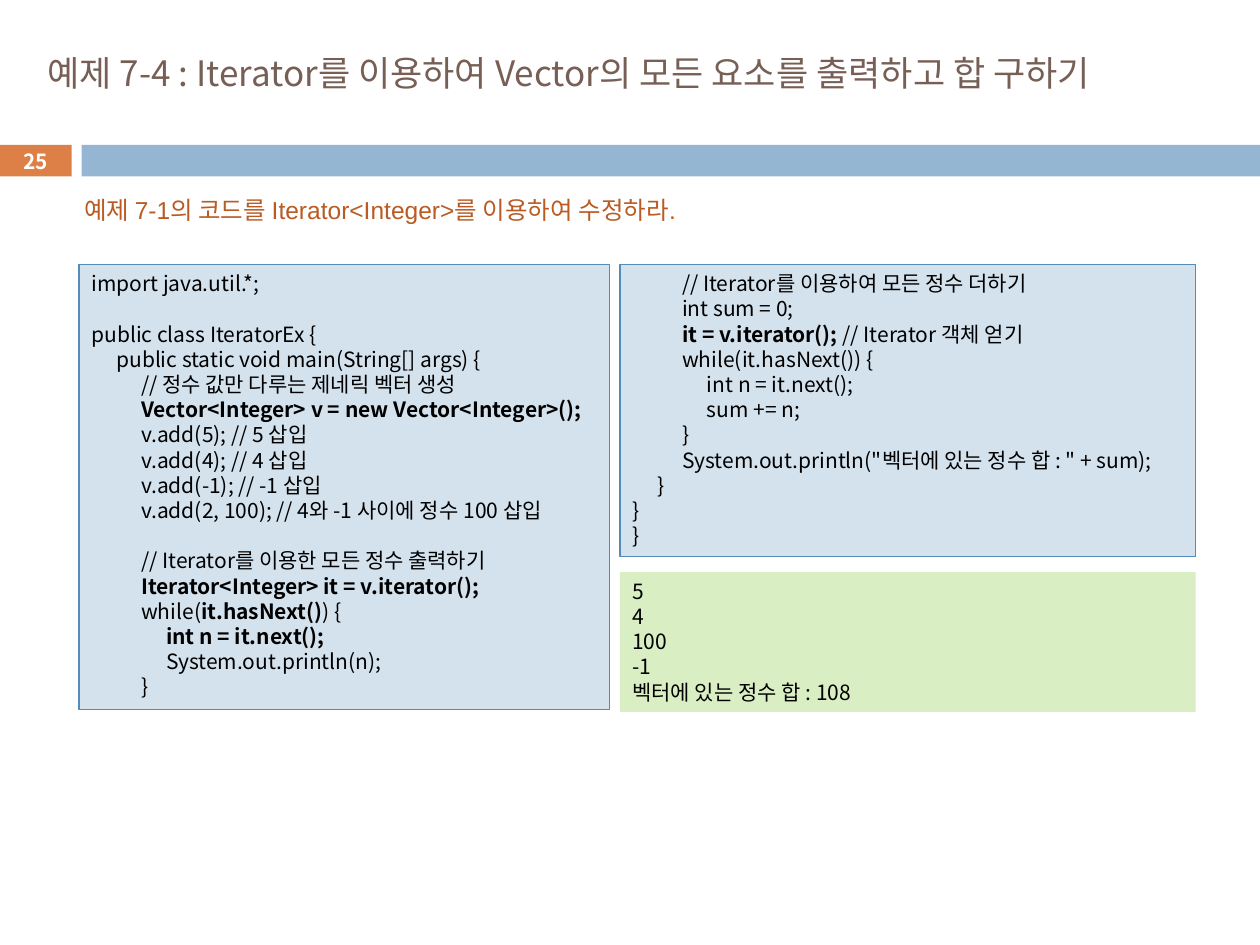
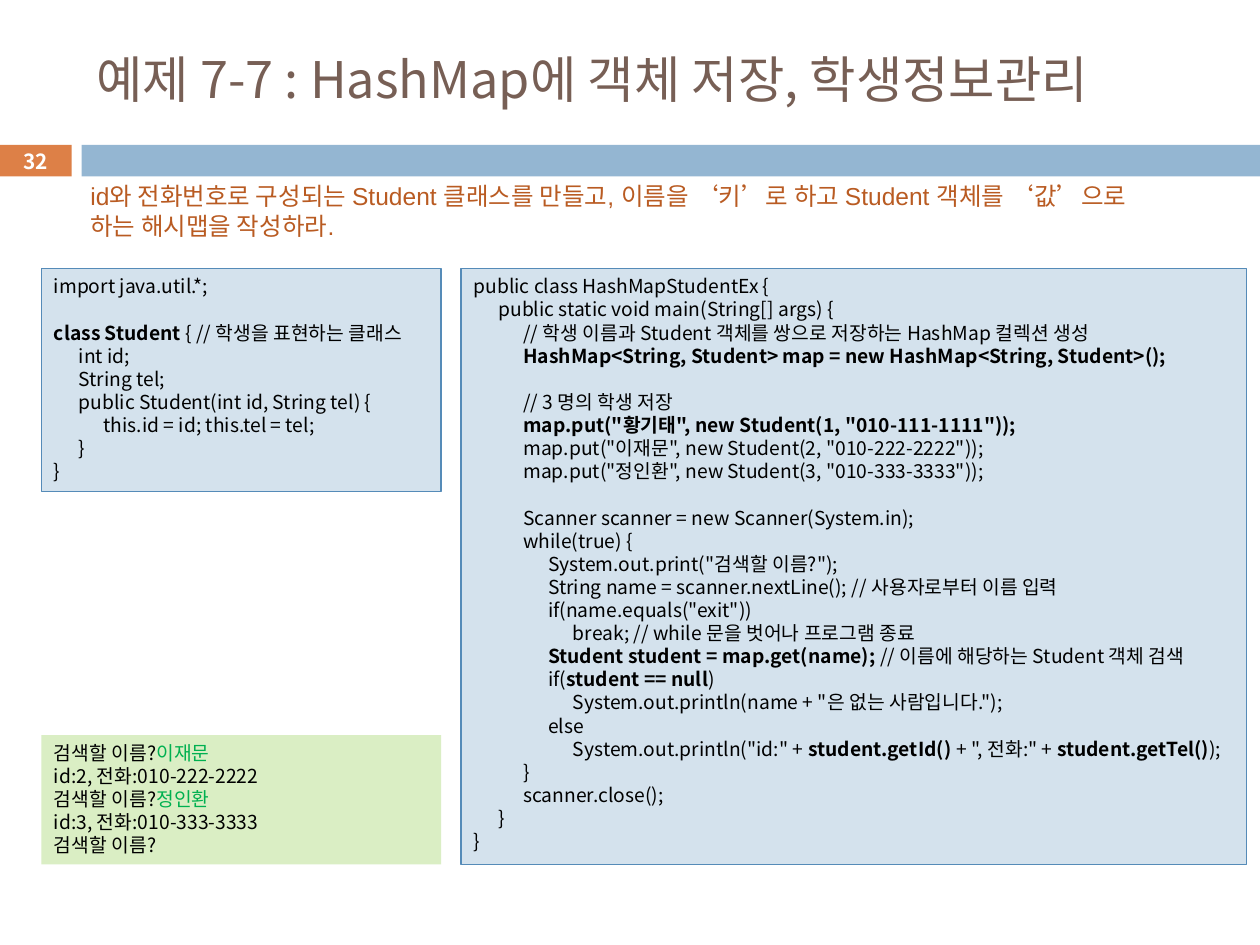
import pptx
import pptx.dml.color
import pptx.enum.shapes
import pptx.enum.text
import pptx.oxml
import pptx.oxml.ns
import pptx.util
from dataclasses import dataclass

# A listing is a list of blocks, set apart by one empty line.
# Backticks mark emphasis: bold in code, typed input in output.
ITERATOR_CODE = ["""\
import java.util.*;""", """\
public class IteratorEx {
    public static void main(String[] args) {
        // 정수 값만 다루는 제네릭 벡터 생성
        `Vector<Integer> v = new Vector<Integer>();`
        v.add(5); // 5 삽입
        v.add(4); // 4 삽입
        v.add(-1); // -1 삽입
        v.add(2, 100); // 4와 -1 사이에 정수 100 삽입""", """\
        // Iterator를 이용한 모든 정수 출력하기
        `Iterator<Integer> it = v.iterator();`
        while(`it.hasNext()`) {
            `int n = it.next();`
            System.out.println(n);
        }"""]

SUM_CODE = ["""\
        // Iterator를 이용하여 모든 정수 더하기
        int sum = 0;
        `it = v.iterator(); `// Iterator 객체 얻기
        while(it.hasNext()) {
            int n = it.next();
            sum += n;
        }
        System.out.println("벡터에 있는 정수 합 : " + sum);
    }
}
}"""]

ITERATOR_OUTPUT = ["""\
5
4
100
-1
벡터에 있는 정수 합 : 108"""]

STUDENT_CODE = ["""\
import java.util.*;""", """\
`class Student `{ // 학생을 표현하는 클래스
    int id;
    String tel;
    public Student(int id, String tel) {
        this.id = id; this.tel = tel;
    }
}"""]

STUDENT_OUTPUT = ["""\
검색할 이름?`이재문`
id:2, 전화:010-222-2222
검색할 이름?`정인환`
id:3, 전화:010-333-3333
검색할 이름?"""]

HASHMAP_CODE = ["""\
public class HashMapStudentEx {
    public static void main(String[] args) {
        // 학생 이름과 Student 객체를 쌍으로 저장하는 HashMap 컬렉션 생성
        `HashMap<String, Student> map = new HashMap<String, Student>();`""", """\
        // 3 명의 학생 저장
        `map.put("황기태", new Student(1, "010-111-1111"));`
        map.put("이재문", new Student(2, "010-222-2222"));
        map.put("정인환", new Student(3, "010-333-3333"));""", """\
        Scanner scanner = new Scanner(System.in);
        while(true) {
            System.out.print("검색할 이름?");
            String name = scanner.nextLine(); // 사용자로부터 이름 입력
            if(name.equals("exit"))
                break; // while 문을 벗어나 프로그램 종료
            `Student student = map.get(name); `// 이름에 해당하는 Student 객체 검색
            if(`student == null`)
                System.out.println(name + "은 없는 사람입니다.");
            else
                System.out.println("id:" + `student.getId() `+ ", 전화:" + `student.getTel()`);
        }
        scanner.close();
    }
}"""]

# Boxes are (left, top, width, height) in points.
SLIDES = [
    dict(
        number="25",
        title="예제 7-4 : Iterator를 이용하여 Vector의 모든 요소를 출력하고 합 구하기",
        title_box=(20, 9.4, 684, 64), title_size=20,
        task="예제 7-1의 코드를 Iterator<Integer>를 이용하여 수정하라.",
        task_box=(41, 108, 388, 24.5),
        panel_size=12,
        code=[(ITERATOR_CODE, (45.2, 151.2, 303.2, 254.2)),
              (SUM_CODE, (354.3, 151.2, 329, 167))],
        output=(ITERATOR_OUTPUT, (354.3, 326.9, 329, 79.9)),
    ),
    dict(
        number="32",
        title="예제 7-7 : HashMap에 객체 저장, 학생정보관리",
        title_box=(48, 18, 642, 53.3), title_size=28.8,
        task="id와 전화번호로 구성되는 Student 클래스를 만들고, 이름을 ‘키’로 하고 "
             "Student 객체를 ‘값’으로 하는 해시맵을 작성하라.",
        task_box=(44.6, 100, 627, 41),
        panel_size=11,
        code=[(STUDENT_CODE, (23.7, 153.4, 228.4, 127.4)),
              (HASHMAP_CODE, (263.5, 153.4, 448.8, 340.5))],
        output=(STUDENT_OUTPUT, (23.7, 420, 228.4, 74)),
    ),
]

BADGE_BOX = (0, 82.8, 41, 18)
BAND_BOX = (46.6, 82.8, 673.4, 18)


@dataclass(frozen=True)
class Theme:
    font: str = "Noto Sans CJK KR"
    task_font: str = "Arial"
    title: str = "775F55"
    task: str = "B95B22"
    badge: str = "DD8047"
    band: str = "94B6D2"
    code_fill: str = "D4E2ED"
    code_line: str = "558BB8"
    output_fill: str = "DAEEC4"
    typed: str = "00B050"
    ink: str = "000000"
    white: str = "FFFFFF"
    task_size: float = 14
    number_size: float = 11.9
    leading: float = 1.2
    tab: float = 14.2
    indent: str = "    "


THEME = Theme()
Pt = pptx.util.Pt


def rgb(code):
    return pptx.dml.color.RGBColor.from_string(code)


def points(box):
    return [Pt(length) for length in box]


def line_height(size):
    return Pt(round(size * THEME.leading, 2))


def add_panel(slide, box, fill, line=None):
    panel = slide.shapes.add_shape(pptx.enum.shapes.MSO_SHAPE.RECTANGLE, *points(box))
    panel.shadow.inherit = False
    panel.fill.solid()
    panel.fill.fore_color.rgb = rgb(fill)
    if line:
        panel.line.color.rgb = rgb(line)
        panel.line.width = Pt(0.75)
    else:
        panel.line.fill.background()
    return panel


def style_paragraph(paragraph, size, color, font=THEME.font, align="LEFT"):
    paragraph.alignment = getattr(pptx.enum.text.PP_ALIGN, align)
    paragraph.line_spacing = line_height(size)
    paragraph.font.size = Pt(size)
    paragraph.font.color.rgb = rgb(color)
    paragraph.font.name = font
    defaults = paragraph._p.pPr.find(pptx.oxml.ns.qn("a:defRPr"))
    east_asian = pptx.oxml.parse_xml(
        f'<a:ea {pptx.oxml.ns.nsdecls("a")} typeface="{THEME.font}"/>')
    defaults.find(pptx.oxml.ns.qn("a:latin")).addnext(east_asian)


def add_tab_stops(paragraph, count):
    stops = "".join(f'<a:tab pos="{Pt(THEME.tab * step)}" algn="l"/>'
                    for step in range(1, count + 1))
    tabs = pptx.oxml.parse_xml(
        f'<a:tabLst {pptx.oxml.ns.nsdecls("a")}>{stops}</a:tabLst>')
    paragraph._p.pPr.find(pptx.oxml.ns.qn("a:defRPr")).addprevious(tabs)


def add_label(slide, box, text, size, color, anchor="MIDDLE", **style):
    frame = slide.shapes.add_textbox(*points(box)).text_frame
    frame.word_wrap = True
    frame.vertical_anchor = getattr(pptx.enum.text.MSO_ANCHOR, anchor)
    paragraph = frame.paragraphs[0]
    paragraph.text = text
    style_paragraph(paragraph, size, color, **style)
    return paragraph


def write_line(paragraph, line, size, emphasize):
    """Turn leading indents into tabs and backticked parts into emphasized runs."""
    style_paragraph(paragraph, size, THEME.ink)
    code = line.lstrip(" ")
    depth = (len(line) - len(code)) // len(THEME.indent)
    if depth:
        add_tab_stops(paragraph, depth)
    for part, text in enumerate(("\t" * depth + code).split("`")):
        if text:
            run = paragraph.add_run()
            run.text = text
            if part % 2:
                emphasize(run.font)


def write_listing(panel, listing, size, emphasize):
    frame = panel.text_frame
    frame.word_wrap = True
    frame.margin_right = 0
    frame.vertical_anchor = pptx.enum.text.MSO_ANCHOR.TOP
    paragraph = frame.paragraphs[0]
    for block_index, block in enumerate(listing):
        for line_index, line in enumerate(block.split("\n")):
            if block_index or line_index:
                paragraph = frame.add_paragraph()
            if block_index and not line_index:
                paragraph.space_before = line_height(size)
            write_line(paragraph, line, size, emphasize)


def make_bold(font):
    font.bold = True


def mark_typed(font):
    font.color.rgb = rgb(THEME.typed)


def build_slide(deck, content):
    slide = deck.slides.add_slide(deck.slide_layouts[6])
    add_panel(slide, BADGE_BOX, THEME.badge)
    add_panel(slide, BAND_BOX, THEME.band)
    add_label(slide, content["title_box"], content["title"],
              content["title_size"], THEME.title)
    number = add_label(slide, BADGE_BOX, content["number"], THEME.number_size,
                       THEME.white, align="CENTER")
    number.font.bold = True
    add_label(slide, content["task_box"], content["task"], THEME.task_size,
              THEME.task, anchor="TOP", font=THEME.task_font)
    for listing, box in content["code"]:
        panel = add_panel(slide, box, THEME.code_fill, THEME.code_line)
        write_listing(panel, listing, content["panel_size"], make_bold)
    listing, box = content["output"]
    write_listing(add_panel(slide, box, THEME.output_fill), listing,
                  content["panel_size"], mark_typed)


def main():
    deck = pptx.Presentation()
    deck.slide_width, deck.slide_height = Pt(720), Pt(540)
    for content in SLIDES:
        build_slide(deck, content)
    deck.save("out.pptx")


if __name__ == "__main__":
    main()
